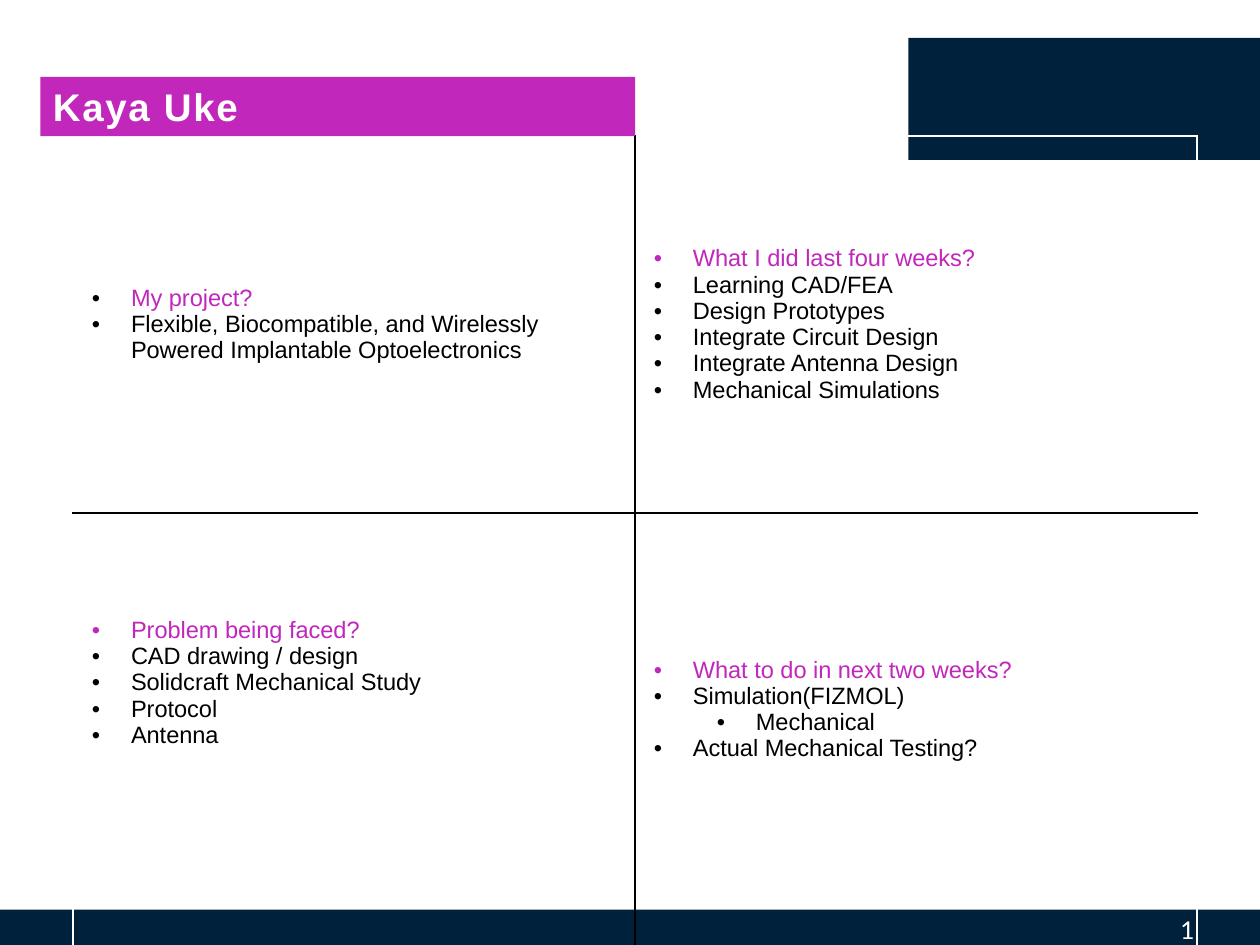
from lxml.etree import SubElement
from pptx import Presentation
from pptx.dml.color import RGBColor
from pptx.enum.shapes import MSO_SHAPE
from pptx.enum.text import MSO_ANCHOR, MSO_AUTO_SIZE, PP_ALIGN
from pptx.oxml.ns import qn
from pptx.util import Inches, Pt

NAVY, PURPLE, WHITE, BLACK = "00213B", "C127BB", "FFFFFF", "000000"
INSET = 0.15

QUADRANTS = [
    [
        ["My project?",
         "Flexible, Biocompatible, and Wirelessly Powered Implantable Optoelectronics"],
        ["What I did last four weeks?", "Learning CAD/FEA", "Design Prototypes",
         "Integrate Circuit Design", "Integrate Antenna Design",
         "Mechanical Simulations"],
    ],
    [
        ["Problem being faced?", "CAD drawing / design",
         "Solidcraft Mechanical Study", "Protocol", "Antenna"],
        ["What to do in next two weeks?", "Simulation(FIZMOL)", "Mechanical",
         "Actual Mechanical Testing?"],
    ],
]
NESTED = {"Mechanical"}
BOTTOM_INSETS = [[INSET, INSET], [0.99, 0.57]]


def color(value):
    return RGBColor.from_string(value)


def style_font(font, name, size, value, bold=False):
    font.name = name
    font.size = Pt(size)
    font.bold = bold
    font.color.rgb = color(value)


def add_bar(page, left, top, width, height):
    bar = page.shapes.add_shape(MSO_SHAPE.RECTANGLE, Inches(left), Inches(top),
                                Inches(width), Inches(height))
    bar.shadow.inherit = False
    bar.fill.solid()
    bar.fill.fore_color.rgb = color(NAVY)
    bar.line.fill.background()


def add_page_number(page):
    box = page.shapes.add_textbox(Inches(7.5), Inches(7.22), Inches(2.08), Inches(0.31))
    frame = box.text_frame
    frame.word_wrap = True
    frame.vertical_anchor = MSO_ANCHOR.MIDDLE
    para = frame.paragraphs[0]
    para.text = "1"
    para.alignment = PP_ALIGN.RIGHT
    style_font(para.font, "Lato", 14, WHITE)


def format_title(page):
    title = page.shapes.title
    title.left, title.top = Inches(0.32), Inches(0.61)
    title.width, title.height = Inches(4.72), Inches(0.47)
    title.fill.solid()
    title.fill.fore_color.rgb = color(PURPLE)
    frame = title.text_frame
    frame.text = "Kaya Uke"
    frame.auto_size = MSO_AUTO_SIZE.NONE
    frame.vertical_anchor = MSO_ANCHOR.MIDDLE
    para = frame.paragraphs[0]
    para.alignment = PP_ALIGN.LEFT
    span = para.runs[0]
    style_font(span.font, "Arial", 22, WHITE, bold=True)
    span.font._element.set("spc", "100")
    title.element.getparent().append(title.element)


def add_bullet(para, level, value):
    properties = para._p.get_or_add_pPr()
    properties.set("marL", str(Inches(0.31 + 0.5 * level)))
    properties.set("indent", str(Inches(-0.31)))
    bullet_color = SubElement(properties, qn("a:buClr"))
    SubElement(bullet_color, qn("a:srgbClr"), val=value)
    SubElement(properties, qn("a:buFont"), typeface="Arial")
    SubElement(properties, qn("a:buChar"), char="•")


def set_borders(cell, borders):
    properties = cell._tc.get_or_add_tcPr()
    for side, value in zip("LRTB", borders):
        line = SubElement(properties, qn(f"a:ln{side}"), w=str(Pt(1)))
        fill = SubElement(line, qn("a:solidFill"))
        SubElement(fill, qn("a:srgbClr"), val=value)


def fill_cell(cell, lines, row, column):
    cell.margin_left = cell.margin_right = cell.margin_top = Inches(INSET)
    cell.margin_bottom = Inches(BOTTOM_INSETS[row][column])
    cell.vertical_anchor = MSO_ANCHOR.MIDDLE
    cell.text = "\n".join(lines)
    for index, para in enumerate(cell.text_frame.paragraphs):
        value = BLACK if index else PURPLE
        level = int(para.text in NESTED)
        para.level = level
        add_bullet(para, level, BLACK if row == column == 0 else value)
        style_font(para.font, "Arial", 13.5, value)
    left, right = (BLACK, WHITE) if column else (WHITE, BLACK)
    top = BLACK if row else WHITE
    set_borders(cell, [left, right, top, BLACK])
    cell.fill.background()


def add_quadrants(page):
    frame = page.shapes.add_table(2, 2, Inches(0.58), Inches(1.08),
                                  Inches(8.92), Inches(6.53))
    table = frame.table
    table.first_row = table.horz_banding = False
    for row, height in zip(table.rows, (2.99, 3.54)):
        row.height = Inches(height)
    for row, cells in enumerate(QUADRANTS):
        for column, lines in enumerate(cells):
            fill_cell(table.cell(row, column), lines, row, column)


def main():
    deck = Presentation()
    deck.slide_width, deck.slide_height = Inches(10), Inches(7.5)
    page = deck.slides.add_slide(deck.slide_layouts[5])
    add_bar(page, 7.21, 0.3, 2.79, 0.97)
    add_bar(page, 0, 7.22, 10.04, 0.31)
    add_page_number(page)
    add_quadrants(page)
    format_title(page)
    deck.save("out.pptx")


if __name__ == "__main__":
    main()
